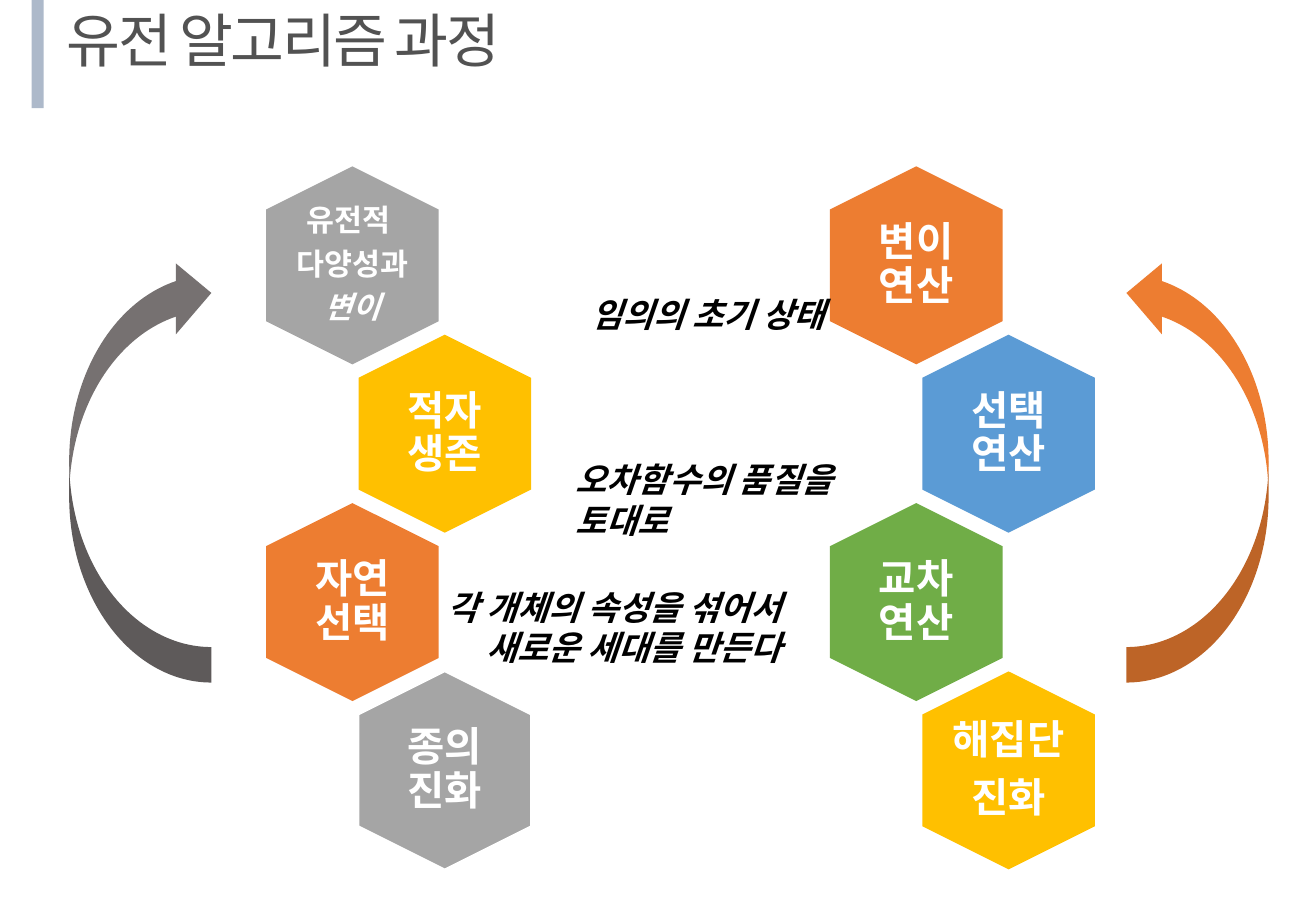
from lxml.etree import SubElement
from pptx import Presentation
from pptx.dml.color import RGBColor
from pptx.enum.shapes import MSO_SHAPE
from pptx.enum.text import MSO_ANCHOR, MSO_AUTO_SIZE, PP_ALIGN
from pptx.oxml.ns import qn
from pptx.util import Inches, Pt

COLORS = {
    "title": "525252",
    "accent": "ADB9CA",
    "orange": "ED7D31",
    "gray": "A5A5A5",
    "gold": "FFC000",
    "blue": "5B9BD5",
    "green": "70AD47",
    "dark gray": "767171",
    "white": "FFFFFF",
    "black": "000000",
}
KOREAN_FONT = "Noto Sans CJK KR"
HEX_LENGTH, HEX_WIDTH = 1.63, 1.42
LABEL_WIDTH, LABEL_HEIGHT = 0.98, 1.12
STEP_X, STEP_Y = 0.76, 1.386

NATURE_STAGES = [
    (["유전적 ", "다양성과", "변이"], "gray", 18),
    (["적자 생존"], "gold", 24),
    (["자연 선택"], "orange", 24),
    (["종의 진화"], "gray", 24),
]
ALGORITHM_STAGES = [
    (["변이 연산"], "orange", 24),
    (["선택 연산"], "blue", 24),
    (["교차 연산"], "green", 24),
    (["해집단", "진화"], "gold", 24),
]
NOTES = [
    (4.77, 2.37, 3.16, 0.44, ["임의의 초기 상태"], PP_ALIGN.LEFT),
    (4.64, 3.73, 2.9, 0.77, ["오차함수의 품질을 토대로"], PP_ALIGN.LEFT),
    (3.37, 4.78, 3.16, 0.77, ["각 개체의 속성을 섞어서", "새로운 세대를 만든다"],
     PP_ALIGN.RIGHT),
]


def rgb(color):
    return RGBColor.from_string(COLORS[color])


def style(font, size, color, name=KOREAN_FONT, bold=False, italic=False):
    font.size = Pt(size)
    font.bold = bold
    font.italic = italic
    font.color.rgb = rgb(color)
    font.name = name
    SubElement(font._element, qn("a:ea")).set("typeface", name)


def add_filled(slide, preset, left, top, width, height, color):
    figure = slide.shapes.add_shape(
        preset, Inches(left), Inches(top), Inches(width), Inches(height))
    figure.shadow.inherit = False
    figure.fill.solid()
    figure.fill.fore_color.rgb = rgb(color)
    figure.line.fill.background()
    return figure


def add_text(slide, left, top, width, height, lines, align):
    frame = slide.shapes.add_textbox(
        Inches(left), Inches(top), Inches(width), Inches(height)).text_frame
    frame.word_wrap = True
    frame.text = "\n".join(lines)
    for paragraph in frame.paragraphs:
        paragraph.alignment = align
    return frame


def add_heading(slide, left, top, text):
    title = slide.shapes.title
    title.left, title.top = Inches(left + 0.19), Inches(top)
    title.width, title.height = Inches(4.08), Inches(0.68)
    frame = title.text_frame
    frame.text = text
    frame.word_wrap = False
    frame.auto_size = MSO_AUTO_SIZE.SHAPE_TO_FIT_TEXT
    frame.vertical_anchor = MSO_ANCHOR.TOP
    paragraph = frame.paragraphs[0]
    paragraph.alignment = PP_ALIGN.LEFT
    style(paragraph.font, 34.7, "title", "Calibri")
    paragraph.font._element.set("spc", "-160")
    add_filled(slide, MSO_SHAPE.RECTANGLE, left, top, 0.1, 0.91, "accent")


def add_stage(slide, center_x, center_y, lines, color, size):
    hexagon = add_filled(
        slide, MSO_SHAPE.HEXAGON, center_x - HEX_LENGTH / 2,
        center_y - HEX_WIDTH / 2, HEX_LENGTH, HEX_WIDTH, color)
    hexagon.rotation = 90
    hexagon.adjustments[0] = 0.25
    hexagon.adjustments[1] = 1.1547
    frame = add_text(
        slide, center_x - LABEL_WIDTH / 2, center_y - LABEL_HEIGHT / 2,
        LABEL_WIDTH, LABEL_HEIGHT, lines, PP_ALIGN.CENTER)
    frame.vertical_anchor = MSO_ANCHOR.MIDDLE
    frame.margin_left = frame.margin_right = 0
    frame.margin_top = frame.margin_bottom = 0
    for paragraph, line in zip(frame.paragraphs, lines):
        paragraph.line_spacing = 0.9
        paragraph.space_after = Pt(size * 0.35)
        style(paragraph.font, size, "white", bold=True, italic=line == "변이")
    return hexagon


def add_stage_chain(slide, left, top, stages):
    return [
        add_stage(slide, left + HEX_WIDTH / 2 + row % 2 * STEP_X,
                  top + HEX_LENGTH / 2 + row * STEP_Y, *stage)
        for row, stage in enumerate(stages)
    ]


def add_note(slide, left, top, width, height, lines, align):
    frame = add_text(slide, left, top, width, height, lines, align)
    frame.auto_size = MSO_AUTO_SIZE.SHAPE_TO_FIT_TEXT
    for paragraph in frame.paragraphs:
        style(paragraph.font, 20, "black", bold=True, italic=True)


def add_cycle_arrow(slide, left, top, color, flips):
    arrow = add_filled(
        slide, MSO_SHAPE.CURVED_LEFT_ARROW, left, top, 1.17, 3.5, color)
    for flip in flips:
        arrow._element.spPr.xfrm.set(flip, "1")


def main():
    presentation = Presentation()
    presentation.slide_width = Inches(10.83)
    presentation.slide_height = Inches(7.5)
    slide = presentation.slides.add_slide(presentation.slide_layouts[5])
    add_heading(slide, 0.26, -0.02, "유전 알고리즘 과정")
    evolution = add_stage_chain(slide, 2.19, 1.37, NATURE_STAGES)[-1]
    evolution.line.color.rgb = rgb("white")
    evolution.line.width = Pt(1)
    add_stage_chain(slide, 6.83, 1.37, ALGORITHM_STAGES)
    for note in NOTES:
        add_note(slide, *note)
    add_cycle_arrow(slide, 9.27, 2.12, "orange", ["flipV"])
    add_cycle_arrow(slide, 0.57, 2.12, "dark gray", ["flipH", "flipV"])
    presentation.save("out.pptx")


if __name__ == "__main__":
    main()
